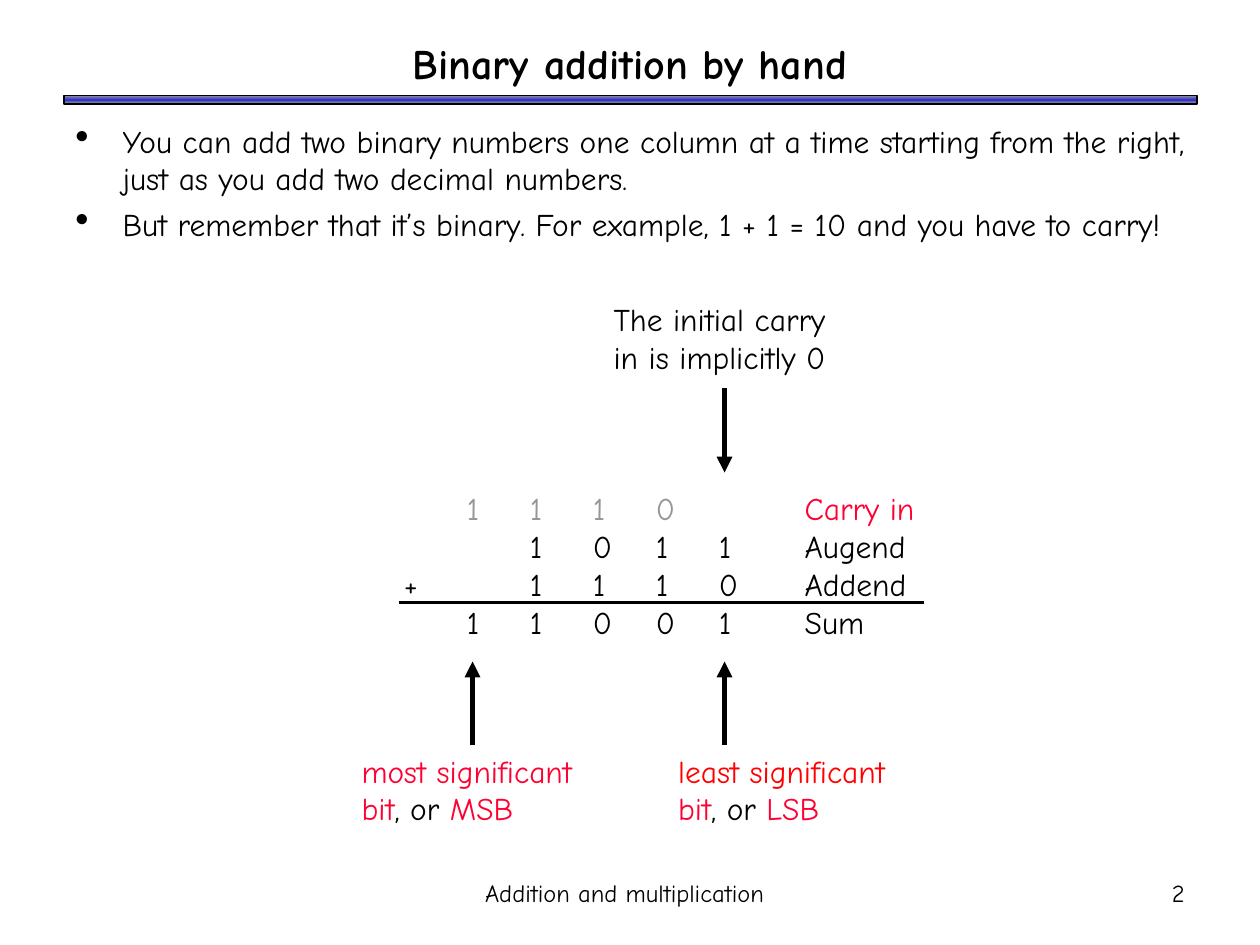
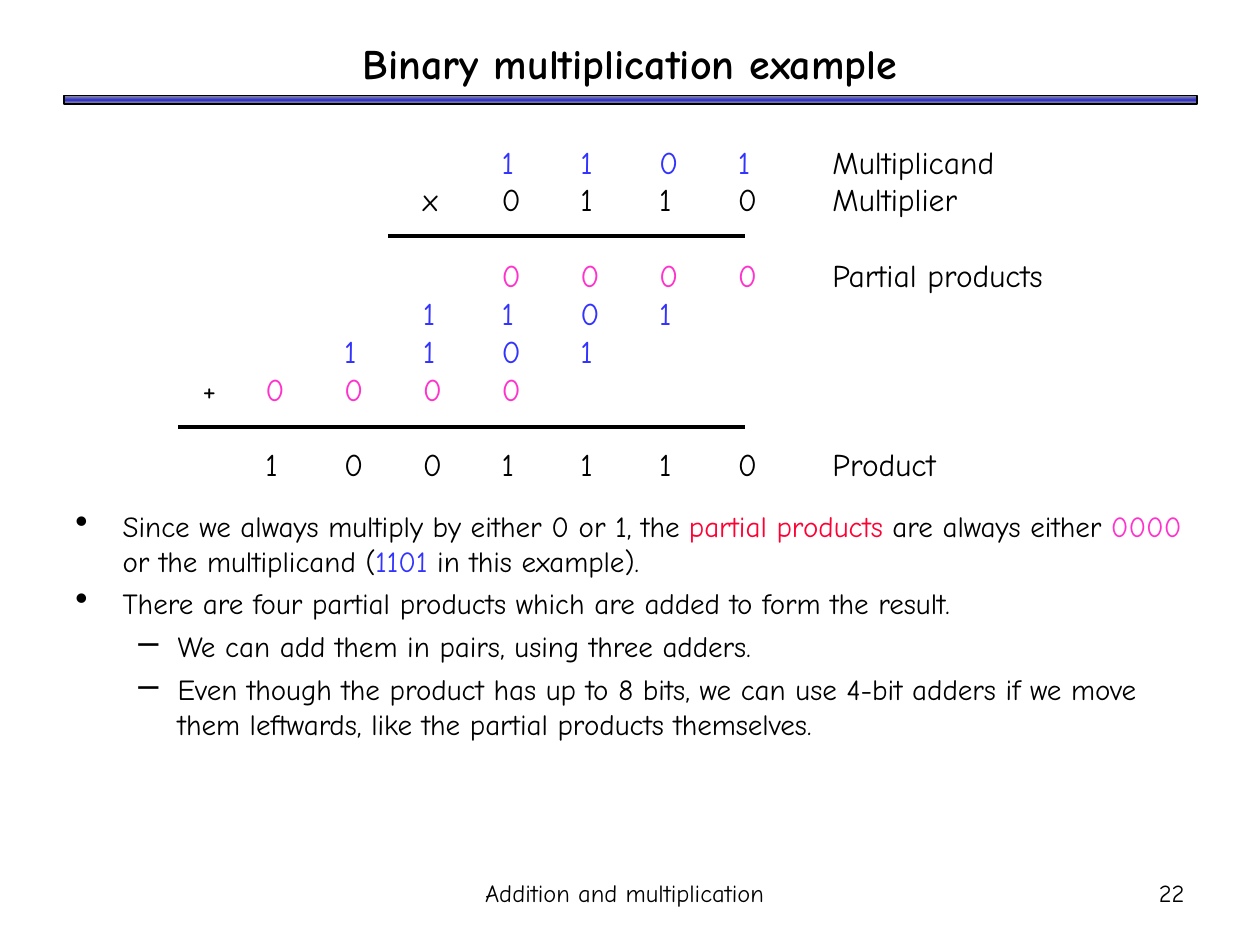
"""Builds two slides on binary addition and multiplication by hand."""
import pptx
import pptx.dml.color
import pptx.enum.shapes
import pptx.enum.text
import pptx.oxml
import pptx.oxml.ns
import pptx.util

ALIGN = pptx.enum.text.PP_ALIGN
ANCHOR = pptx.enum.text.MSO_ANCHOR
COLORS = {
    "black": "000000",
    "gray": "969696",
    "band": "3333CC",
    "term": "FF0033",
    "red": "FF0000",
    "zeros": "FF33CC",
    "ones": "3333FF",
}
BULLETS = [("•", 4.5, -4.5), ("–", 9.75, -3.75)]
LINE_PITCH = 21.7


def make_xml(tag, attrs="", inner=""):
    return pptx.oxml.parse_xml(f"<a:{tag} {pptx.oxml.ns.nsdecls('a')} {attrs}>{inner}</a:{tag}>")


def srgb(color):
    return f'<a:srgbClr val="{COLORS[color]}"/>'


class Deck:
    """Holds the style and the current slide, on a grid of 120 columns by 90 rows."""

    font = "Comic Neue"
    footer = "Addition and multiplication"

    def __init__(self):
        self.prs = pptx.Presentation()
        self.prs.slide_width = pptx.util.Inches(10)
        self.prs.slide_height = pptx.util.Inches(7.5)

    def grid(self, *units):
        return [pptx.util.Emu(round(u * self.prs.slide_width / 120)) for u in units]

    def rgb(self, color):
        return pptx.dml.color.RGBColor.from_string(COLORS[color])

    def add_slide(self, title, number):
        self.s = self.prs.slides.add_slide(self.prs.slide_layouts[6])
        self.add_band(6.1, 9.1, 107.9, 0.8)
        middle = {"vertical_anchor": ANCHOR.MIDDLE}
        center, right = {"alignment": ALIGN.CENTER}, {"alignment": ALIGN.RIGHT}
        self.add_text((6, 3, 108, 6), [title], {"size": 24, "bold": True}, center, middle)
        self.add_text((36, 82, 47, 6), [self.footer], {"size": 14}, center, middle)
        self.add_text((89, 82, 25, 6), [str(number)], {"size": 14}, right, middle)

    def add_band(self, *box):
        sp = self.s.shapes.add_shape(pptx.enum.shapes.MSO_SHAPE.RECTANGLE, *self.grid(*box))
        sp.shadow.inherit = False
        stops = "".join(f'<a:gs pos="{pos}">{srgb(color)}</a:gs>'
                        for pos, color in [(0, "gray"), (50000, "band"), (100000, "gray")])
        fill = make_xml("gradFill", 'rotWithShape="1"',
                        f'<a:gsLst>{stops}</a:gsLst><a:lin ang="5400000" scaled="0"/>')
        sp._element.spPr.find(pptx.oxml.ns.qn("a:prstGeom")).addnext(fill)
        sp.line.color.rgb = self.rgb("black")
        sp.line.width = pptx.util.Pt(1)

    def add_text(self, box, paragraphs, font=None, para=None, frame=None):
        """Each paragraph is a string or a list of strings and (string, color) runs."""
        tf = self.s.shapes.add_textbox(*self.grid(*box)).text_frame
        for name, value in {"word_wrap": True, **(frame or {})}.items():
            setattr(tf, name, value)
        font = {"name": self.font, "size": 18, **(font or {})}
        font["size"] = pptx.util.Pt(font["size"])
        for i, runs in enumerate(paragraphs):
            p = tf.add_paragraph() if i else tf.paragraphs[0]
            for name, value in (para or {}).items():
                setattr(p, name, value)
            for run in [runs] if isinstance(runs, str) else runs:
                text, color = (run, "black") if isinstance(run, str) else run
                r = p.add_run()
                r.text = text
                for name, value in font.items():
                    setattr(r.font, name, value)
                r.font.color.rgb = self.rgb(color)
        return tf

    def add_bullets(self, box, items, size=18):
        """Each item is a level and its paragraph."""
        tf = self.add_text(box, [runs for _, runs in items], {"size": size})
        for i, (p, (level, _)) in enumerate(zip(tf.paragraphs, items)):
            char, left, hang = BULLETS[level]
            pPr = p._p.get_or_add_pPr()
            for name, value in zip(("marL", "indent"), self.grid(left, hang)):
                pPr.set(name, str(int(value)))
            pPr.append(make_xml("buClr", inner=srgb("black")))
            pPr.append(make_xml("buSzPct", 'val="125000"'))
            pPr.append(make_xml("buChar", f'char="{char}"'))
            p.level = level
            if i:
                p.space_before = pptx.util.Pt(4.5)

    def add_working(self, box, rows, stops, gaps=()):
        """Sets rows of digits on tab stops, with a free line above each row in gaps."""
        tf = self.add_text(box, rows)
        tabs = "".join(f'<a:tab pos="{int(x)}" algn="l"/>' for x in self.grid(*stops))
        for i, p in enumerate(tf.paragraphs):
            p._p.get_or_add_pPr().append(make_xml("tabLst", inner=tabs))
            if i in gaps:
                p.space_before = pptx.util.Pt(LINE_PITCH)

    def add_line(self, x1, y1, x2, y2, width, arrow=False):
        sp = self.s.shapes.add_connector(
            pptx.enum.shapes.MSO_CONNECTOR.STRAIGHT, *self.grid(x1, y1, x2, y2))
        sp.line.color.rgb = self.rgb("black")
        sp.line.width = pptx.util.Pt(width)
        if arrow:
            sp.line._get_or_add_ln().append(make_xml("tailEnd", 'type="triangle"'))
        sp._element.spPr.append(make_xml("effectLst"))


def build_addition(deck):
    deck.add_slide("Binary addition by hand", 2)
    deck.add_bullets((6, 11, 108, 68), [
        (0, "You can add two binary numbers one column at a time starting from the right, "
            "just as you add two decimal numbers."),
        (0, "But remember that it’s binary. For example, 1 + 1 = 10 and you have to carry!"),
    ])
    deck.add_working((37.3, 46, 53, 15.6), [
        ["\t", ("1\t1\t1\t0\t\t", "gray"), ("Carry in", "term")],
        "\t\t1\t0\t1\t1\tAugend",
        "+\t\t1\t1\t1\t0\tAddend",
        "\t1\t1\t0\t0\t1\tSum",
    ], [6 * i for i in range(1, 6)] + [38.16])
    deck.add_line(38, 57.4, 88, 57.4, 2)
    deck.add_text((57.25, 28, 26, 8.4), ["The initial carry", "in is implicitly 0"])
    deck.add_line(69, 37, 69, 45, 3, arrow=True)
    for left, arrow_x, kind, color, short in [
        (33.25, 45, "most", "term", "MSB"),
        (63.4, 69, "least", "red", "LSB"),
    ]:
        deck.add_text((left, 71, 26, 8.4), [
            [(f"{kind} significant", color)],
            [("bit", "term"), ", or", (f" {short}", "term")],
        ])
        deck.add_line(arrow_x, 71, arrow_x, 63, 3, arrow=True)


def build_multiplication(deck):
    deck.add_slide("Binary multiplication example", 22)
    deck.add_bullets((6, 47.8, 108, 31), [
        (0, ["Since we always multiply by either 0 or 1, the ", ("partial products", "term"),
             " are always either ", ("0000", "zeros"), " or the multiplicand (",
             ("1101", "ones"), " in this example)."]),
        (0, "There are four partial products which are added to form the result."),
        (1, "We can add them in pairs, using three adders."),
        (1, "Even though the product has up to 8 bits, we can use 4-bit adders if we move "
            "them leftwards, like the partial products themselves."),
    ], 16.6)
    ones, zeros = ("1\t1\t0\t1", "ones"), ("0\t0\t0\t0", "zeros")
    deck.add_working((18.1, 13, 86, 37.2), [
        ["\t\t\t\t", ones, "\tMultiplicand"],
        "\t\t\tx\t0\t1\t1\t0\tMultiplier",
        ["\t\t\t\t", zeros, "\tPartial products"],
        ["\t\t\t", ones],
        ["\t\t", ones],
        ["+\t", zeros],
        "\t1\t0\t0\t1\t1\t1\t0\tProduct",
    ], [6 + 7.5 * i for i in range(7)] + [60], gaps=(2, 6))
    for left, y in [(37, 22.5), (17, 40.7)]:
        deck.add_line(left, y, 71, y, 2.25)


def main():
    deck = Deck()
    build_addition(deck)
    build_multiplication(deck)
    deck.prs.save("out.pptx")


if __name__ == "__main__":
    main()
